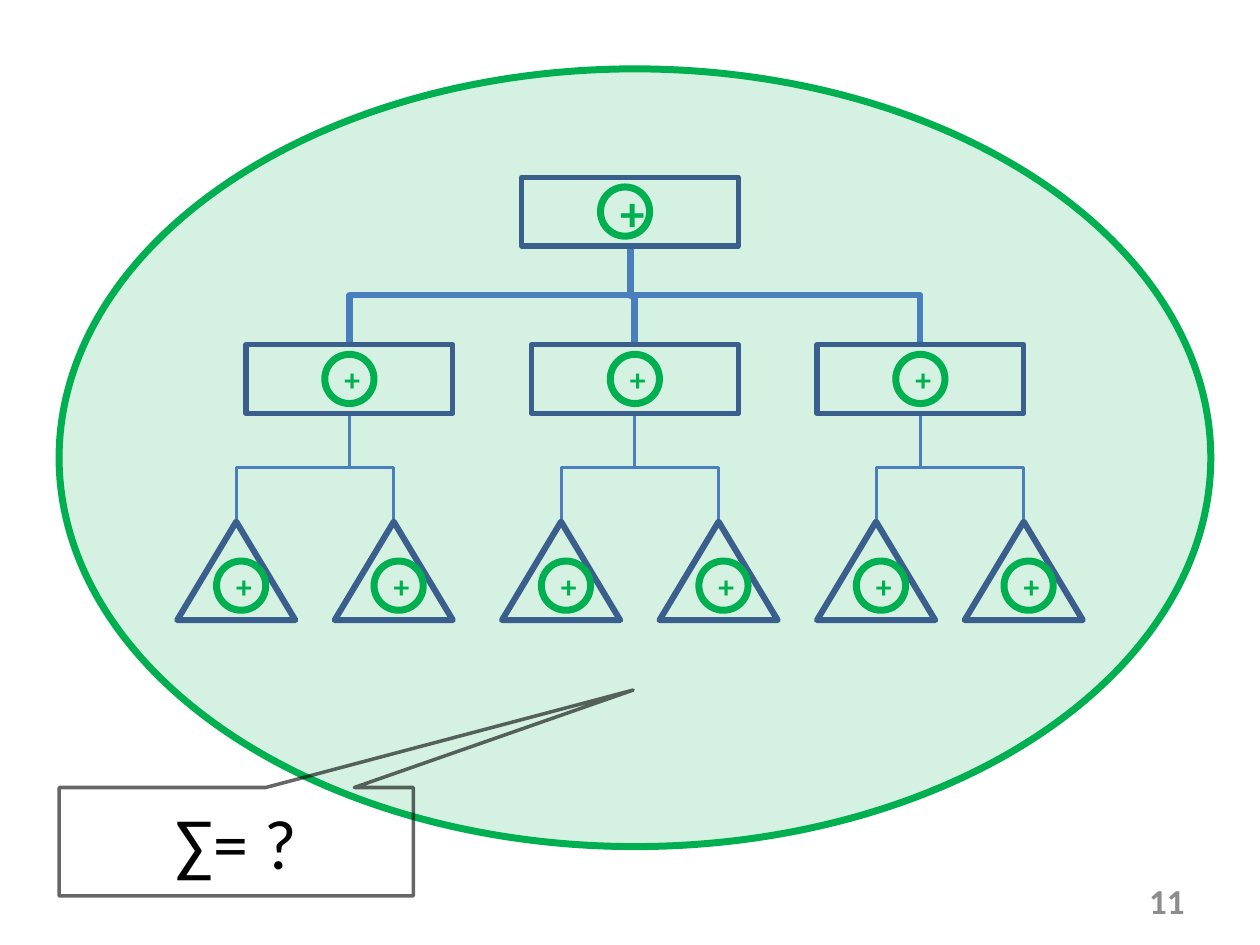
from dataclasses import dataclass

from lxml import etree
from pptx import Presentation
from pptx.dml.color import RGBColor
from pptx.enum.shapes import MSO_CONNECTOR, MSO_SHAPE
from pptx.enum.text import MSO_ANCHOR, PP_ALIGN
from pptx.oxml.ns import qn
from pptx.util import Inches, Pt

ELLIPSE, RECT, TRIANGLE = MSO_SHAPE.OVAL, MSO_SHAPE.RECTANGLE, MSO_SHAPE.ISOSCELES_TRIANGLE
CALLOUT, ELBOW = MSO_SHAPE.RECTANGULAR_CALLOUT, MSO_CONNECTOR.ELBOW
MIDDLE, CENTER, RIGHT = MSO_ANCHOR.MIDDLE, PP_ALIGN.CENTER, PP_ALIGN.RIGHT

WIDTH, HEIGHT, COLUMNS = 10, 7.5, 128
NODE_H, LEAF_W, LEAF_H, PLUS = 7, 12, 10, 5
ROOT_X, ROOT_Y, ROOT_W = 53, 18, 22
NODE_Y, NODE_W, LEAF_Y = 35, 21, 53
TREE = {25: (18, 34), 54: (51, 67), 83: (83, 98)}


@dataclass(frozen=True)
class Theme:
    """Colours, font and type sizes of the slide."""
    green: str = "00B050"
    navy: str = "3A5F8C"
    blue: str = "4B7EBC"
    black: str = "000000"
    grey: str = "8C8C8C"
    font: str = "Calibri"
    small: int = 18
    number: int = 20
    large: int = 28
    question: int = 40


class Board:
    """Draws on one slide, in cells of a square grid."""

    def __init__(self, slide, theme):
        """Keep the slide and its style."""
        self.slide, self.theme = slide, theme

    def cells(self, *values):
        """Turn grid cells into lengths."""
        return [Inches(v * WIDTH / COLUMNS) for v in values]

    def paint(self, color_format, color, opacity=100):
        """Set a colour and its opacity in percent."""
        color_format.rgb = RGBColor.from_string(color)
        if opacity < 100:
            node = color_format._xFill.find(qn("a:srgbClr"))
            etree.SubElement(node, qn("a:alpha"), val=str(opacity * 1000))

    def label(self, sp, text, size, color, align=CENTER, bold=True):
        """Put one line of text in a shape."""
        tf = sp.text_frame
        tf.word_wrap, tf.vertical_anchor = True, MIDDLE
        p = tf.paragraphs[0]
        p.text, p.alignment = text, align
        p.font.name, p.font.size, p.font.bold = self.theme.font, Pt(size), bold
        self.paint(p.font.color, color)

    def shape(self, kind, box, color, weight, opacity=100, tint=0):
        """Add an outlined shape, empty or tinted."""
        sp = self.slide.shapes.add_shape(kind, *self.cells(*box))
        sp.shadow.inherit = False
        sp.line.width = Pt(weight)
        sp.line.fill.solid()
        self.paint(sp.line.fill.fore_color, color, opacity)
        if tint:
            sp.fill.solid()
            self.paint(sp.fill.fore_color, color, tint)
        else:
            sp.fill.background()
        return sp

    def plus(self, x, y, size):
        """Add a ringed plus sign."""
        sp = self.shape(ELLIPSE, (x, y, PLUS, PLUS), self.theme.green, 4)
        self.label(sp, "+", size, self.theme.green)

    def node(self, x, y, width, size):
        """Add a box with a plus sign."""
        self.shape(RECT, (x, y, width, NODE_H), self.theme.navy, 3)
        self.plus(x + 8, y + 1, size)

    def leaf(self, x):
        """Add a triangle with a plus sign."""
        self.shape(TRIANGLE, (x, LEAF_Y, LEAF_W, LEAF_H), self.theme.navy, 3.5)
        self.plus(x + 4, LEAF_Y + 4, self.theme.small)

    def branch(self, x1, y1, x2, y2, weight):
        """Add an elbow that leaves downwards, as a turned connector."""
        cx, cy, half_w, half_h = (x1 + x2) / 2, (y1 + y2) / 2, (y2 - y1) / 2, abs(x2 - x1) / 2
        side = 1 if x2 > x1 else -1
        ends = self.cells(cx + side * half_w, cy - half_h, cx - side * half_w, cy + half_h)
        c = self.slide.shapes.add_connector(ELBOW, *ends)
        c.line.width = Pt(weight)
        self.paint(c.line.color, self.theme.blue)
        sp_pr = c._element.spPr
        sp_pr.find(qn("a:xfrm")).set("rot", str((180 + side * 90) * 60000))
        etree.SubElement(sp_pr, qn("a:effectLst"))

    def callout(self, box, tip, text):
        """Add a see-through callout with its tip at a share of its size."""
        sp = self.shape(CALLOUT, box, self.theme.black, 2, opacity=60)
        sp.adjustments[0], sp.adjustments[1] = tip
        self.label(sp, text, self.theme.question, self.theme.black, bold=False)

    def page_number(self, box, text):
        """Add the page number."""
        sp = self.slide.shapes.add_textbox(*self.cells(*box))
        self.label(sp, text, self.theme.number, self.theme.grey, RIGHT)


def main():
    """Build the tree of sums."""
    prs = Presentation()
    prs.slide_width, prs.slide_height = Inches(WIDTH), Inches(HEIGHT)
    theme = Theme()
    board = Board(prs.slides.add_slide(prs.slide_layouts[6]), theme)
    board.page_number((91.8, 89, 29.8, 5), "11")
    board.shape(ELLIPSE, (6, 7, 117, 79), theme.green, 4, tint=17)

    root_mid = ROOT_X + ROOT_W / 2
    for x, leaves in TREE.items():
        mid = x + NODE_W / 2
        weight = 4 if abs(mid - root_mid) < 1 else 3.5
        board.branch(root_mid, ROOT_Y + NODE_H, mid, NODE_Y, weight)
        for leaf in leaves:
            board.branch(mid, NODE_Y + NODE_H, leaf + LEAF_W / 2, LEAF_Y, 1.75)
            board.leaf(leaf)
        board.node(x, NODE_Y, NODE_W, theme.small)
    board.node(ROOT_X, ROOT_Y, ROOT_W, theme.large)

    board.callout((6, 80, 36, 11), (1.12, -1.4), "∑= ?")
    prs.save("out.pptx")


if __name__ == "__main__":
    main()
